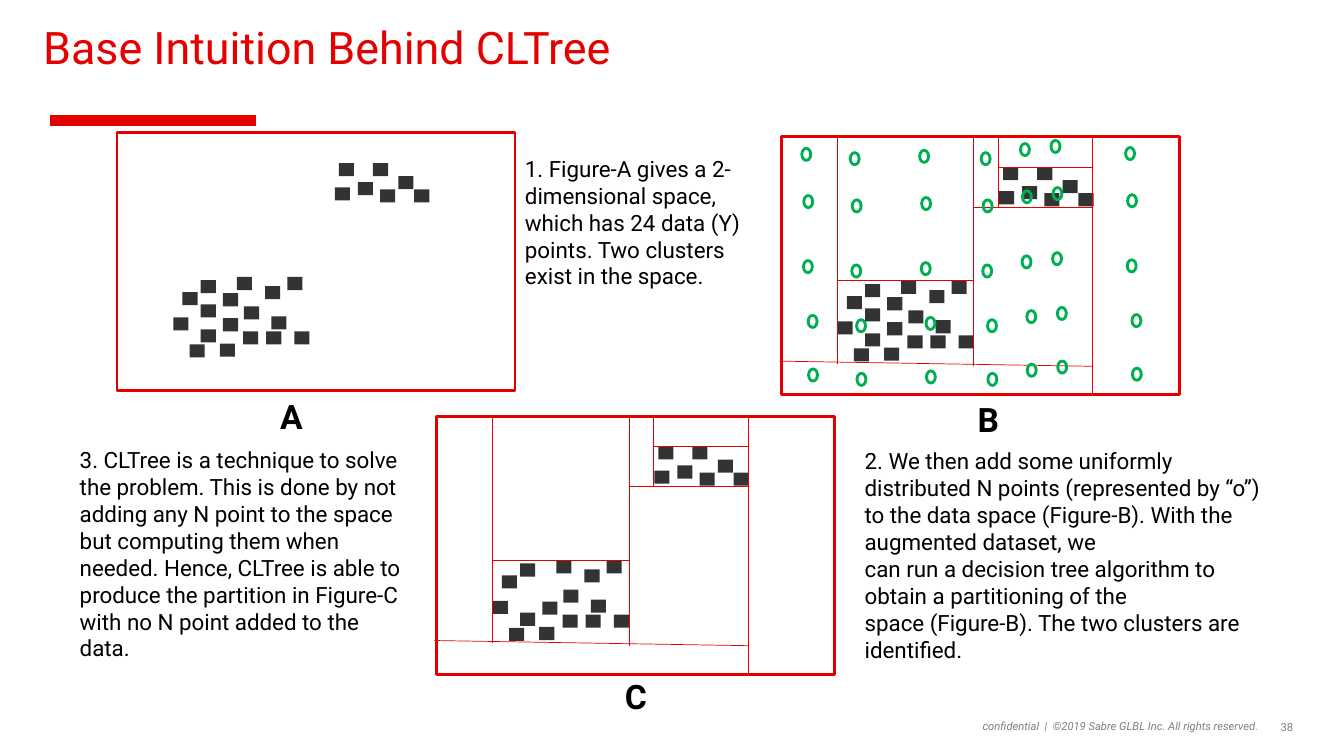
from lxml import etree
from pptx import Presentation
from pptx.dml.color import RGBColor
from pptx.enum.shapes import MSO_CONNECTOR, MSO_SHAPE
from pptx.enum.text import MSO_ANCHOR, PP_ALIGN
from pptx.oxml.ns import qn
from pptx.util import Cm, Pt

RECTANGLE, DONUT = MSO_SHAPE.RECTANGLE, MSO_SHAPE.DONUT
STRAIGHT = MSO_CONNECTOR.STRAIGHT
TOP, MIDDLE, BOTTOM = MSO_ANCHOR.TOP, MSO_ANCHOR.MIDDLE, MSO_ANCHOR.BOTTOM
LEFT, RIGHT = PP_ALIGN.LEFT, PP_ALIGN.RIGHT

COLORS = {"red": "E50000", "dark": "333333", "green": "00B050",
          "black": "000000", "gray": "808080"}

PANEL_SIZE = (10.03, 6.5)
SQUARE_SIZE = (0.38, 0.33)
RING_SIZE = (0.3, 0.38)
PANELS = {"A": (2.95, 3.35), "B": (19.69, 3.45), "C": (11, 10.49)}
LABELS = {"A": (7.06, 9.98), "B": (24.64, 10.06), "C": (15.75, 17.04)}

CORE_POINTS = [(2.11, 4.32), (2.67, 4.04)]
CLUSTER_POINTS = [
    (2.11, 3.71), (2.67, 4.67), (3.2, 4.37), (2.11, 4.95), (3.18, 5),
    (3.02, 3.63), (1.42, 4.65), (1.65, 4.01), (3.89, 4.62), (3.76, 5),
    (2.59, 5.31), (4.47, 5), (3.73, 3.86), (4.29, 3.63), (1.83, 5.33),
    (6.45, 0.76), (5.59, 0.76), (7.09, 1.09), (6.63, 1.42), (7.49, 1.42),
    (5.49, 1.37), (6.07, 1.24),
]
PANEL_POINTS = {"A": CORE_POINTS + CLUSTER_POINTS,
                "B": CORE_POINTS + CLUSTER_POINTS,
                "C": CLUSTER_POINTS}

CUTS = [
    (5.47, 1.77, 5.47, -0.03), (4.85, 3.62, 1.42, 3.62),
    (7.85, 5.78, -0.05, 5.65), (7.85, 1.77, 4.85, 1.77),
    (4.85, 5.78, 4.85, 0), (1.42, 5.72, 1.42, -0.03),
    (7.85, 6.5, 7.85, 0), (7.85, 0.76, 5.47, 0.76),
]

RING_COLUMNS = [(0.48, 0.25), (1.7, 0.36), (3.45, 0.3), (5, 0.36),
                (5.99, 0.13), (6.76, 0.05), (8.64, 0.23)]
RING_ROWS = [(0, 0), (0.05, 1.19), (0.04, 2.83), (0.16, 4.21), (0.17, 5.56)]

EXPLANATIONS = [
    ((13.23, 3.91, 5.87, 3.43), [
        "1. Figure-A gives a 2-dimensional space,",
        "which has 24 data (Y) points. Two clusters exist in the space."]),
    ((21.79, 11.28, 10.03, 7.19), [
        "2. We then add some uniformly distributed N points (represented by “o”) "
        "to the data space (Figure-B). With the augmented dataset, we",
        "can run a decision tree algorithm to obtain a partitioning of the",
        "space (Figure-B). The two clusters are identified."]),
    ((2.01, 11.25, 8.13, 5.46), [
        "3. CLTree is a technique to solve the problem. This is done by not adding "
        "any N point to the space but computing them when needed. Hence, CLTree is "
        "able to produce the partition in Figure-C with no N point added to the data."]),
]


class SlideBuilder:
    """Draws styled elements on the current slide, with positions in centimetres."""

    font_name = "Roboto"

    def __init__(self, presentation):
        self.slide = presentation.slides.add_slide(presentation.slide_layouts[6])

    def color(self, name):
        return RGBColor.from_string(COLORS[name])

    def shape(self, kind, position, size, fill=None, outline=None, width=2):
        shape = self.slide.shapes.add_shape(kind, *map(Cm, position + size))
        shape.shadow.inherit = False
        if fill:
            shape.fill.solid()
            shape.fill.fore_color.rgb = self.color(fill)
        else:
            shape.fill.background()
        if outline:
            shape.line.color.rgb = self.color(outline)
            shape.line.width = Pt(width)
        else:
            shape.line.fill.background()

    def line(self, ends, color="red", width=0.5):
        connector = self.slide.shapes.add_connector(STRAIGHT, *map(Cm, ends))
        connector.line.color.rgb = self.color(color)
        connector.line.width = Pt(width)
        etree.SubElement(connector._element.spPr, qn("a:effectLst"))

    def text(self, box, paragraphs, size, color="black", anchor=TOP,
             alignment=LEFT, line_spacing=1.0, bold=False, italic=False):
        frame = self.slide.shapes.add_textbox(*map(Cm, box)).text_frame
        frame_format = {"word_wrap": True, "vertical_anchor": anchor,
                        "margin_left": 0, "margin_right": 0,
                        "margin_top": 0, "margin_bottom": 0}
        for name, value in frame_format.items():
            setattr(frame, name, value)
        frame.text = "\n".join(paragraphs)
        font_format = {"name": self.font_name, "size": Pt(size),
                       "bold": bold, "italic": italic}
        for paragraph in frame.paragraphs:
            paragraph.alignment = alignment
            paragraph.line_spacing = line_spacing
            for run in paragraph.runs:
                for name, value in font_format.items():
                    setattr(run.font, name, value)
                run.font.color.rgb = self.color(color)

    def panel(self, origin, points, cuts=(), rings=()):
        left, top = origin
        self.shape(RECTANGLE, origin, PANEL_SIZE, outline="red")
        for x, y in points:
            self.shape(RECTANGLE, (left + x, top + y), SQUARE_SIZE, fill="dark")
        for x1, y1, x2, y2 in cuts:
            self.line((left + x1, top + y1, left + x2, top + y2))
        for x, y in rings:
            self.shape(DONUT, (left + x, top + y), RING_SIZE, fill="green")


def main():
    presentation = Presentation()
    presentation.slide_width, presentation.slide_height = Cm(33.87), Cm(19.05)
    builder = SlideBuilder(presentation)

    builder.line((1.27, 3.03, 6.46, 3.03), width=8)
    builder.text((22.15, 18.14, 9.58, 0.33),
                 ["confidential  |  ©2019 Sabre GLBL Inc. All rights reserved."],
                 8, "gray", BOTTOM, RIGHT, italic=True)
    builder.text((31.88, 18.16, 0.71, 0.33), ["38"], 8, "gray", BOTTOM, RIGHT)
    builder.text((1.09, 0.66, 31.32, 1.22), ["Base Intuition Behind CLTree"],
                 32, "red", MIDDLE, line_spacing=0.9)

    rings = [(x + shift_x, y + shift_y)
             for x, y in RING_COLUMNS for shift_x, shift_y in RING_ROWS]
    for name, origin in PANELS.items():
        builder.panel(origin, PANEL_POINTS[name],
                      cuts=CUTS if name != "A" else (),
                      rings=rings if name == "B" else ())
        builder.text(LABELS[name] + (0.84, 1.07), [name], 24, bold=True)
    for box, paragraphs in EXPLANATIONS:
        builder.text(box, paragraphs, 16)

    presentation.save("out.pptx")


if __name__ == "__main__":
    main()
